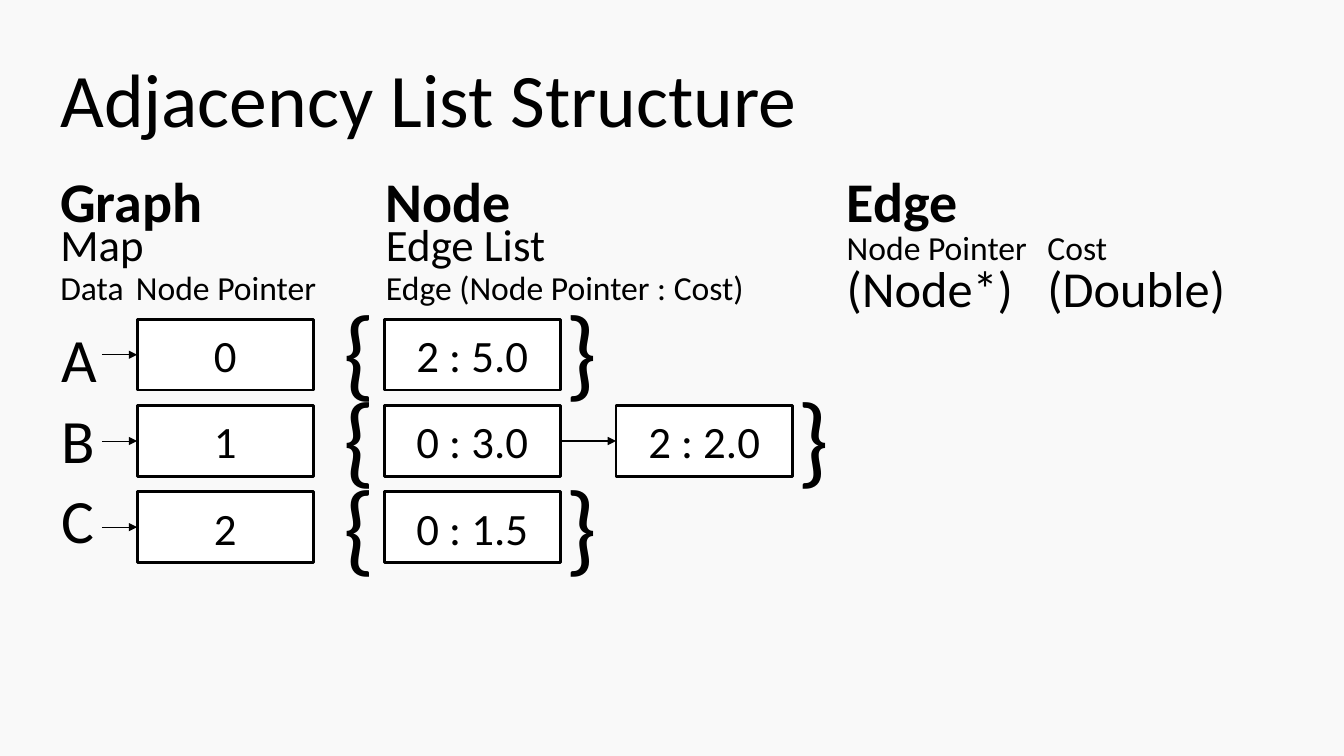
from dataclasses import dataclass
from typing import Any

from lxml import etree
from pptx import Presentation
from pptx import util as u
from pptx.dml import color
from pptx.enum import shapes, text
from pptx.oxml import ns


@dataclass(frozen=True)
class Theme:
    font: str = "Calibri"
    ink: color.RGBColor = color.RGBColor(0, 0, 0)
    paper: color.RGBColor = color.RGBColor(0xF9, 0xF9, 0xF9)
    cell: color.RGBColor = color.RGBColor(0xFF, 0xFF, 0xFF)
    title: int = 54
    heading: int = 40
    kind: int = 32
    caption: int = 24
    data_type: int = 36
    value: int = 32
    key: int = 44
    brace: int = 72
    border: float = 2
    pointer: float = 0.5


@dataclass(frozen=True)
class Label:
    words: str
    left: float
    top: float
    width: float
    height: float
    size: int
    bold: bool = False


@dataclass(frozen=True)
class Vertex:
    key: str
    index: str
    edges: tuple[str, ...]


THEME = Theme()
GRAPH_X, NODE_X, EDGE_X, COST_X = 0.5, 3.73, 8.3, 10.29
HEADING_Y, KIND_Y, CAPTION_Y = 1.6, 2.1, 2.6
CELL_WIDTH, CELL_HEIGHT = 1.75, 0.7
INDEX_X, LIST_X, LIST_STEP = 1.36, 3.81, 2.3
ROW_Y, ROW_STEP = 3.17, 1.71 / 2
BRACE_Y, BRACE_STEP = 2.8, 0.87
OPEN_X, CLOSE_X = 3.31, 5.51
POINTER_X = 1.01
RIGHT_SITE, LEFT_SITE = 3, 1

LABELS = [
    Label("Graph", GRAPH_X, HEADING_Y, 2.18, 0.77, THEME.heading, True),
    Label("Map", GRAPH_X, KIND_Y, 2.41, 0.64, THEME.kind),
    Label("Data", GRAPH_X, CAPTION_Y, 1.14, 0.5, THEME.caption),
    Label("Node Pointer", 1.25, CAPTION_Y, 3.01, 0.5, THEME.caption),
    Label("Node", NODE_X, HEADING_Y, 2.81, 0.77, THEME.heading, True),
    Label("Edge List", NODE_X, KIND_Y, 2.41, 0.64, THEME.kind),
    Label("Edge (Node Pointer : Cost)", NODE_X, CAPTION_Y, 3.84, 0.5, THEME.caption),
    Label("Edge", EDGE_X, HEADING_Y, 2.81, 0.77, THEME.heading, True),
    Label("Node Pointer", EDGE_X, 2.2, 2, 0.5, THEME.caption),
    Label("(Node*)", EDGE_X, 2.5, 2, 0.71, THEME.data_type),
    Label("Cost", COST_X, 2.2, 2, 0.5, THEME.caption),
    Label("(Double)", COST_X, 2.5, 2, 0.71, THEME.data_type),
]
VERTICES = [
    Vertex("A", "0", ("2 : 5.0",)),
    Vertex("B", "1", ("0 : 3.0", "2 : 2.0")),
    Vertex("C", "2", ("0 : 1.5",)),
]


def apply(target: Any, formats: dict[str, Any]) -> None:
    for name, value in formats.items():
        setattr(target, name, value)


def write(frame: Any, lines: list[str], size: int, bold: bool = False,
          **paragraph_format: Any) -> None:
    for number, words in enumerate(lines):
        paragraph = frame.paragraphs[0] if number == 0 else frame.add_paragraph()
        apply(paragraph, paragraph_format)
        run = paragraph.add_run()
        run.text = words
        apply(run.font, {"name": THEME.font, "size": u.Pt(size), "bold": bold})
        run.font.color.rgb = THEME.ink


def add_frame(slide: Any, left: float, top: float, width: float, height: float,
              **frame_format: Any) -> Any:
    box = slide.shapes.add_textbox(*map(u.Inches, (left, top, width, height)))
    apply(box.text_frame, {"word_wrap": True, **frame_format})
    return box.text_frame


def add_label(slide: Any, label: Label) -> None:
    frame = add_frame(slide, label.left, label.top, label.width, label.height,
                      auto_size=text.MSO_AUTO_SIZE.SHAPE_TO_FIT_TEXT)
    write(frame, [label.words], label.size, label.bold)


def add_cell(slide: Any, words: str, left: float, top: float) -> Any:
    cell = slide.shapes.add_shape(
        shapes.MSO_SHAPE.RECTANGLE,
        *map(u.Inches, (left, top, CELL_WIDTH, CELL_HEIGHT)))
    cell.shadow.inherit = False
    cell.fill.solid()
    cell.fill.fore_color.rgb = THEME.cell
    cell.line.color.rgb = THEME.ink
    cell.line.width = u.Pt(THEME.border)
    cell.text_frame.vertical_anchor = text.MSO_ANCHOR.MIDDLE
    write(cell.text_frame, [words], THEME.value, alignment=text.PP_ALIGN.CENTER)
    return cell


def add_arrow(slide: Any, left: float, top: float, target: Any, weight: float,
              source: Any = None) -> None:
    start = u.Inches(left), u.Inches(top)
    arrow = slide.shapes.add_connector(shapes.MSO_CONNECTOR.STRAIGHT, *start, *start)
    if source is not None:
        arrow.begin_connect(source, RIGHT_SITE)
    arrow.end_connect(target, LEFT_SITE)
    arrow.line.color.rgb = THEME.ink
    arrow.line.width = u.Pt(weight)
    etree.SubElement(arrow.line._get_or_add_ln(), ns.qn("a:tailEnd"), type="triangle")
    etree.SubElement(arrow._element.spPr, ns.qn("a:effectLst"))


def add_vertex(slide: Any, row: int, vertex: Vertex) -> None:
    top = ROW_Y + row * ROW_STEP
    middle = top + CELL_HEIGHT / 2
    index_cell = add_cell(slide, vertex.index, INDEX_X, top)
    add_arrow(slide, POINTER_X, middle, index_cell, THEME.pointer)
    previous = None
    for place, edge in enumerate(vertex.edges):
        left = LIST_X + place * LIST_STEP
        edge_cell = add_cell(slide, edge, left, top)
        if previous is not None:
            add_arrow(slide, left, middle, edge_cell, THEME.border, previous)
        previous = edge_cell
    close_x = CLOSE_X + (len(vertex.edges) - 1) * LIST_STEP
    for brace, left in (("{", OPEN_X), ("}", close_x)):
        add_label(slide, Label(brace, left, BRACE_Y + row * BRACE_STEP,
                               0.47, 1.31, THEME.brace))


deck = Presentation()
apply(deck, {"slide_width": u.Inches(13.33), "slide_height": u.Inches(7.5)})
slide = deck.slides.add_slide(deck.slide_layouts[6])
slide.background.fill.solid()
slide.background.fill.fore_color.rgb = THEME.paper

title = add_frame(slide, GRAPH_X, 0.3, 11.5, 1.45,
                  vertical_anchor=text.MSO_ANCHOR.MIDDLE)
write(title, ["Adjacency List Structure"], THEME.title, line_spacing=0.9)
keys = add_frame(slide, 0.51, 3.22, 0.61, 2.31)
write(keys, [vertex.key for vertex in VERTICES], THEME.key,
      line_spacing=0.9, space_before=u.Pt(10))
for row, vertex in enumerate(VERTICES):
    add_vertex(slide, row, vertex)
for label in LABELS:
    add_label(slide, label)

deck.save("out.pptx")
